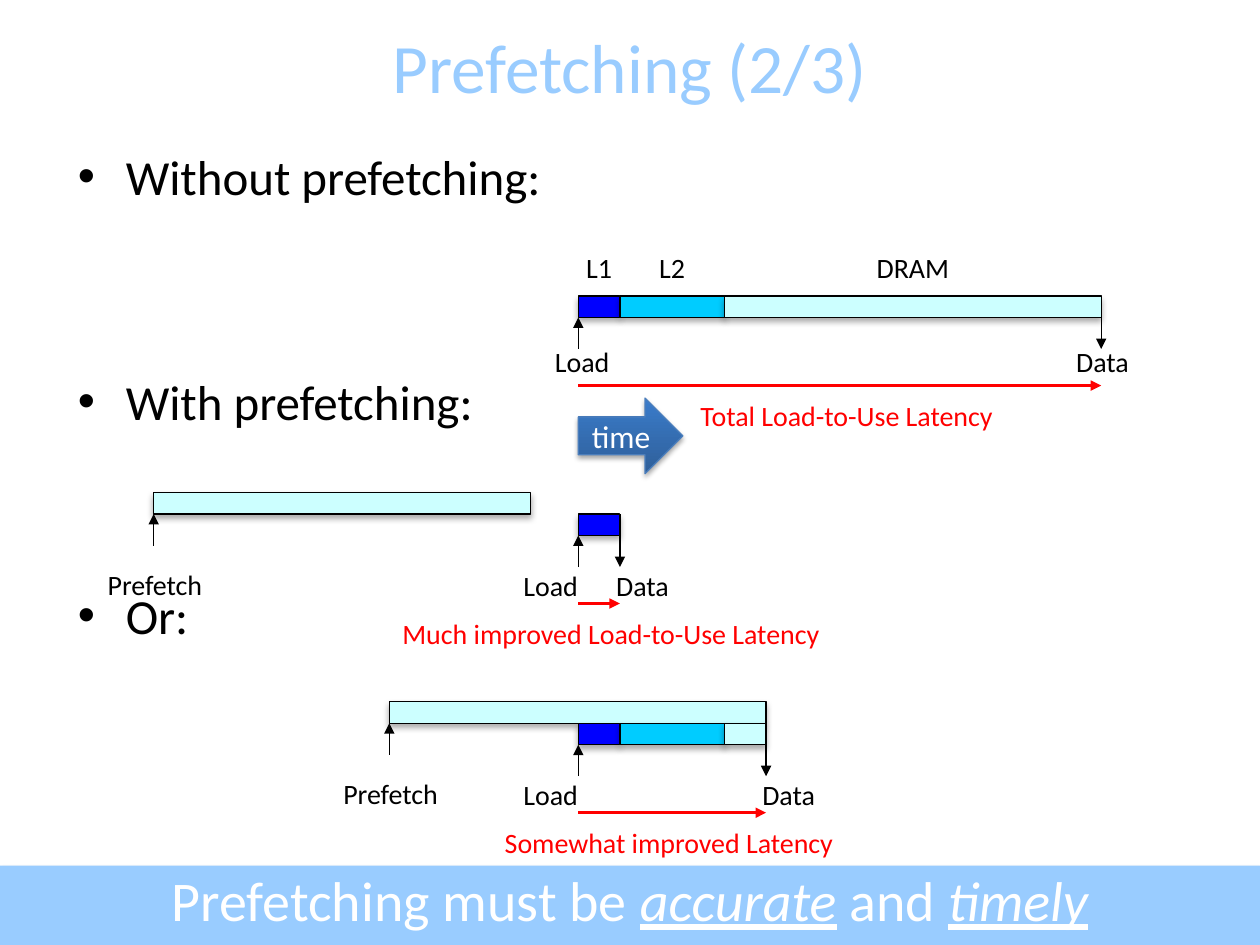
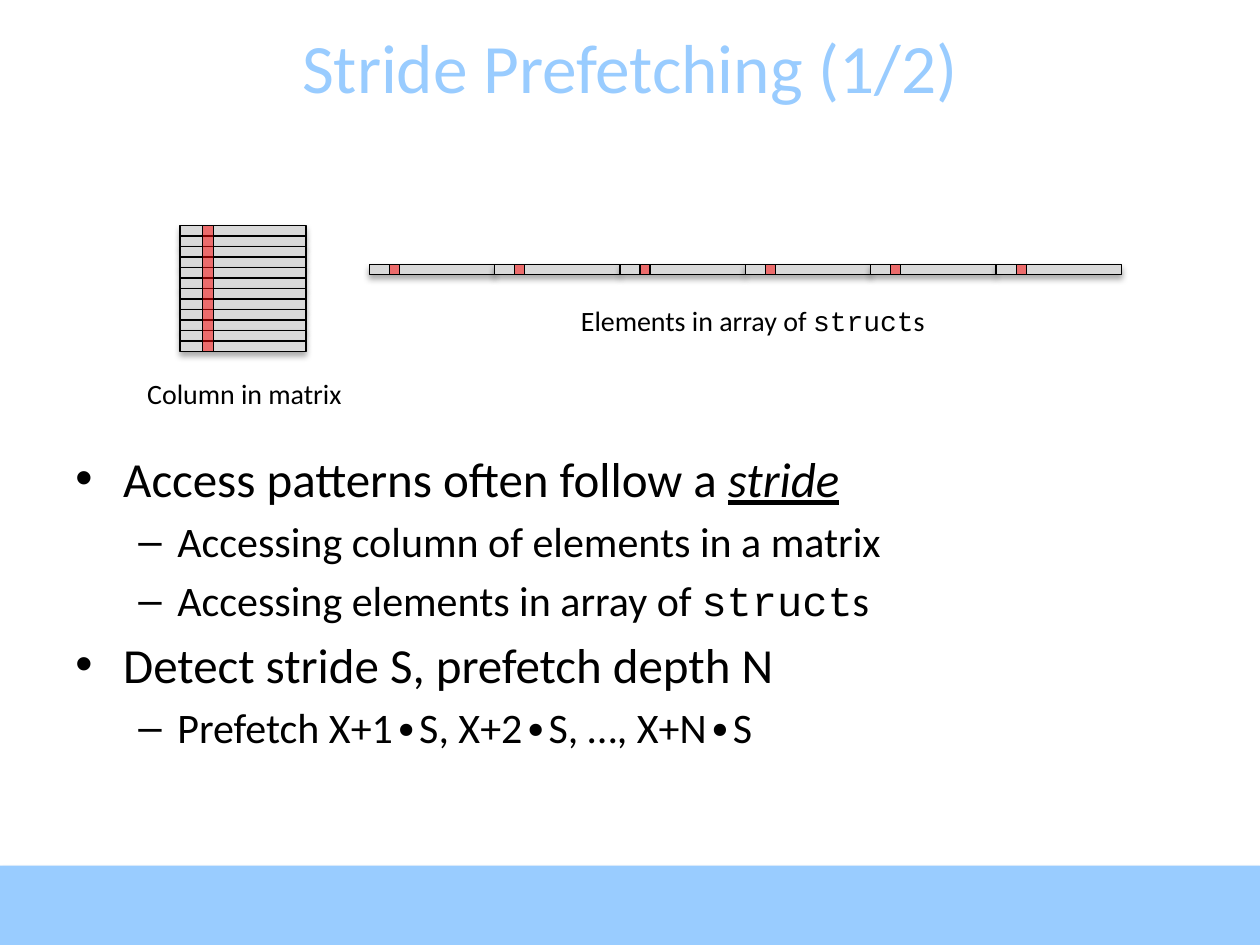
from lxml.etree import SubElement
from pptx import Presentation
from pptx.dml.color import RGBColor
from pptx.enum.shapes import MSO_CONNECTOR, MSO_SHAPE
from pptx.enum.text import MSO_ANCHOR, PP_ALIGN
from pptx.oxml.ns import qn
from pptx.util import Inches, Pt

BODY_FONT, CODE_FONT = "Calibri", "Courier New"
SKY, BLACK, WHITE, RED, GREY = "99CCFF", "000000", "FFFFFF", "FF0000", "D9D9D9"
NAVY, CYAN, PALE = "0000FF", "00CCFF", "CCFFFF"
BAR_SHADOW = (32, 3.5, 2.2)
BAND_SHADOW = (35, 3.1, 1.8)

BAR_HEIGHT = 0.17
ARROW_LENGTH = 0.25
DRAM_WIDTH = 2.99
CACHE_L1 = ("L1", 0.33, NAVY)
CACHE_L2 = ("L2", 0.83, CYAN)
DRAM = ("DRAM", DRAM_WIDTH, PALE)
DRAM_REST = ("DRAM", 0.33, PALE)

# Each bullet level: marker, text indent, hanging indent, text size
BULLETS = (("•", 0.38, 0.38, 28), ("–", 0.81, 0.31, 24))


def rgb(value):
    return RGBColor.from_string(value)


def set_shadow(shape, shadow):
    """Give the shape a downward shadow of (opacity %, blur pt, distance pt), or none."""
    shape.shadow.inherit = False
    if shadow:
        opacity, blur, distance = shadow
        effects = shape._element.spPr.find(qn("a:effectLst"))
        outer = SubElement(effects, qn("a:outerShdw"), blurRad=str(Pt(blur)),
                           dist=str(Pt(distance)), dir="5400000", rotWithShape="0")
        color = SubElement(outer, qn("a:srgbClr"), val=BLACK)
        SubElement(color, qn("a:alpha"), val=str(opacity * 1000))


def add_bar(page, left, top, width, height, fill, line=BLACK, shadow=BAR_SHADOW, opacity=100):
    bar = page.shapes.add_shape(MSO_SHAPE.RECTANGLE, Inches(left), Inches(top),
                                Inches(width), Inches(height))
    bar.fill.solid()
    bar.fill.fore_color.rgb = rgb(fill)
    if opacity < 100:
        color = bar._element.spPr.find(qn("a:solidFill")).find(qn("a:srgbClr"))
        SubElement(color, qn("a:alpha"), val=str(opacity * 1000))
    if line:
        bar.line.color.rgb = rgb(line)
        bar.line.width = Pt(0.75)
    else:
        bar.line.fill.background()
    set_shadow(bar, shadow)


def add_arrow(page, start, end, color=BLACK, width=0.75):
    points = [Inches(value) for value in start + end]
    arrow = page.shapes.add_connector(MSO_CONNECTOR.STRAIGHT, *points)
    arrow.line.color.rgb = rgb(color)
    arrow.line.width = Pt(width)
    SubElement(arrow.line._get_or_add_ln(), qn("a:tailEnd"), type="triangle")
    SubElement(arrow._element.spPr, qn("a:effectLst"))


def write_spans(para, spans, size, color):
    """Fill the paragraph from a string or from (text, style) pairs."""
    if isinstance(spans, str):
        spans = [(spans, "plain")]
    for text, style in spans:
        span = para.add_run()
        span.text = text
        span.font.size = Pt(size)
        span.font.color.rgb = rgb(color)
        span.font.name = CODE_FONT if style == "code" else BODY_FONT
        if style == "stress":
            span.font.italic = span.font.underline = True


def add_text_box(page, left, top, width, height):
    box = page.shapes.add_textbox(Inches(left), Inches(top), Inches(width), Inches(height))
    box.text_frame.word_wrap = True
    return box.text_frame


def add_centred_text(page, left, top, width, height, spans, size, color):
    frame = add_text_box(page, left, top, width, height)
    frame.vertical_anchor = MSO_ANCHOR.MIDDLE
    para = frame.paragraphs[0]
    para.alignment = PP_ALIGN.CENTER
    write_spans(para, spans, size, color)


def add_label(page, centre, top, spans, color=BLACK, width=1.2):
    add_centred_text(page, centre - width / 2, top, width, 0.37, spans, 16, color)


def add_bullets(page, left, top, width, height, items):
    """Write (level, spans, space before in points) items as a bulleted list."""
    frame = add_text_box(page, left, top, width, height)
    for index, (level, spans, space) in enumerate(items):
        marker, indent, hanging, size = BULLETS[level]
        para = frame.add_paragraph() if index else frame.paragraphs[0]
        para.level = level
        para.space_before = Pt(space)
        write_spans(para, spans, size, BLACK)
        properties = para._p.get_or_add_pPr()
        properties.set("marL", str(Inches(indent)))
        properties.set("indent", str(-Inches(hanging)))
        SubElement(properties, qn("a:buFont"), typeface="Arial")
        SubElement(properties, qn("a:buChar"), char=marker)


def add_page(deck, title, message=None):
    page = deck.slides.add_slide(deck.slide_layouts[6])
    add_bar(page, 0, 6.87, 10, 0.63, SKY, line=None, shadow=BAND_SHADOW)
    add_centred_text(page, 0, 0.21, 10, 0.63, title, 39.6, SKY)
    if message:
        add_centred_text(page, 0, 6.82, 10, 0.63, message, 32, WHITE)
    return page


def add_prefetch(page, left, top):
    """Draw the early memory access and its starting event."""
    bottom = top + BAR_HEIGHT
    add_bar(page, left, top, DRAM_WIDTH, BAR_HEIGHT, PALE)
    add_arrow(page, (left, bottom + ARROW_LENGTH), (left, bottom))
    add_label(page, left + 0.01, top + 0.54, "Prefetch")


def add_load(page, left, top, levels, caption, caption_centre, prefetched=True):
    """Draw the levels a load visits, its load and data events and its latency."""
    bottom = top + BAR_HEIGHT
    label_top = top + (0.38 if prefetched else 0.33)
    load_shift, data_shift = (-0.22, 0.18) if prefetched else (0.03, 0.01)
    right = left
    for name, width, color in levels:
        add_bar(page, right, top, width, BAR_HEIGHT, color)
        if not prefetched:
            add_label(page, right + width / 2, top - 0.41, name)
        right += width

    add_arrow(page, (left, bottom + ARROW_LENGTH), (left, bottom))
    add_arrow(page, (right, top if prefetched else bottom), (right, bottom + ARROW_LENGTH))
    add_label(page, left + load_shift, label_top, "Load")
    add_label(page, right + data_shift, label_top, "Data")
    latency_top = top + 0.71
    add_arrow(page, (left, latency_top), (right, latency_top), RED, 2)
    add_label(page, caption_centre, latency_top + 0.05, caption, RED, width=4)


def add_time_arrow(page, left, top):
    arrow = page.shapes.add_shape(MSO_SHAPE.RIGHT_ARROW, Inches(left), Inches(top),
                                  Inches(0.83), Inches(0.6))
    arrow.fill.gradient()
    arrow.fill.gradient_angle = 90
    for stop, color in zip(arrow.fill.gradient_stops, ("2F5F99", "3A7CCB")):
        stop.color.rgb = rgb(color)
    arrow.line.color.rgb = rgb("4B7EBC")
    arrow.line.width = Pt(0.75)
    set_shadow(arrow, BAND_SHADOW)
    frame = arrow.text_frame
    frame.word_wrap = False
    frame.vertical_anchor = MSO_ANCHOR.MIDDLE
    frame.paragraphs[0].alignment = PP_ALIGN.CENTER
    write_spans(frame.paragraphs[0], "time", 18, WHITE)


def add_matrix(page, left, top, size=1, rows=12):
    step = size / rows
    for row in range(rows):
        add_bar(page, left, top + row * step, size, step, GREY)
    add_label(page, left + size / 2 + 0.01, top + 1.15, "Column in matrix", width=2.2)
    add_bar(page, left + 0.18, top, step, size, RED, shadow=None, opacity=50)


def add_struct_array(page, left, top, width=5.97, count=6):
    step = width / count
    side = 0.08
    for index in range(count):
        add_bar(page, left + index * step, top, step, side, GREY)
    for index in range(count):
        add_bar(page, left + index * step + 0.16, top, side, side, RED, shadow=None, opacity=50)
    caption = [("Elements in array of ", "plain"), ("struct", "code"), ("s", "plain")]
    add_label(page, left + width / 2 + 0.06, top + 0.26, caption, width=3.5)


def build_timing_page(deck):
    page = add_page(deck, "Prefetching (2/3)", [
        ("Prefetching must be ", "plain"), ("accurate", "stress"),
        (" and ", "plain"), ("timely", "stress")])
    add_bullets(page, 0.52, 1.11, 9, 5.56, [
        (0, "Without prefetching:", 0), (0, "With prefetching:", 95), (0, "Or:", 89)])
    load_left = 4.59
    add_load(page, load_left, 2.35, [CACHE_L1, CACHE_L2, DRAM],
             "Total Load-to-Use Latency", 6.72, prefetched=False)
    add_time_arrow(page, load_left, 3.16)
    add_prefetch(page, 1.22, 3.91)
    add_load(page, load_left, 4.08, [CACHE_L1], "Much improved Load-to-Use Latency", 4.85)
    add_prefetch(page, 3.09, 5.57)
    add_load(page, load_left, 5.74, [CACHE_L1, CACHE_L2, DRAM_REST],
             "Somewhat improved Latency", 5.31)


def build_stride_page(deck):
    page = add_page(deck, "Stride Prefetching (1/2)")
    add_bullets(page, 0.5, 3.51, 9, 3.31, [
        (0, [("Access patterns often follow a ", "plain"), ("stride", "stress")], 0),
        (1, "Accessing column of elements in a matrix", 4.8),
        (1, [("Accessing elements in array of ", "plain"), ("struct", "code"),
             ("s", "plain")], 4.8),
        (0, "Detect stride S, prefetch depth N", 5.6),
        (1, "Prefetch X+1∙S, X+2∙S, …, X+N∙S", 4.8)])
    add_matrix(page, 1.43, 1.79)
    add_struct_array(page, 2.93, 2.1)


def main():
    deck = Presentation()
    deck.slide_width, deck.slide_height = Inches(10), Inches(7.5)
    build_timing_page(deck)
    build_stride_page(deck)
    deck.save("out.pptx")


if __name__ == "__main__":
    main()
